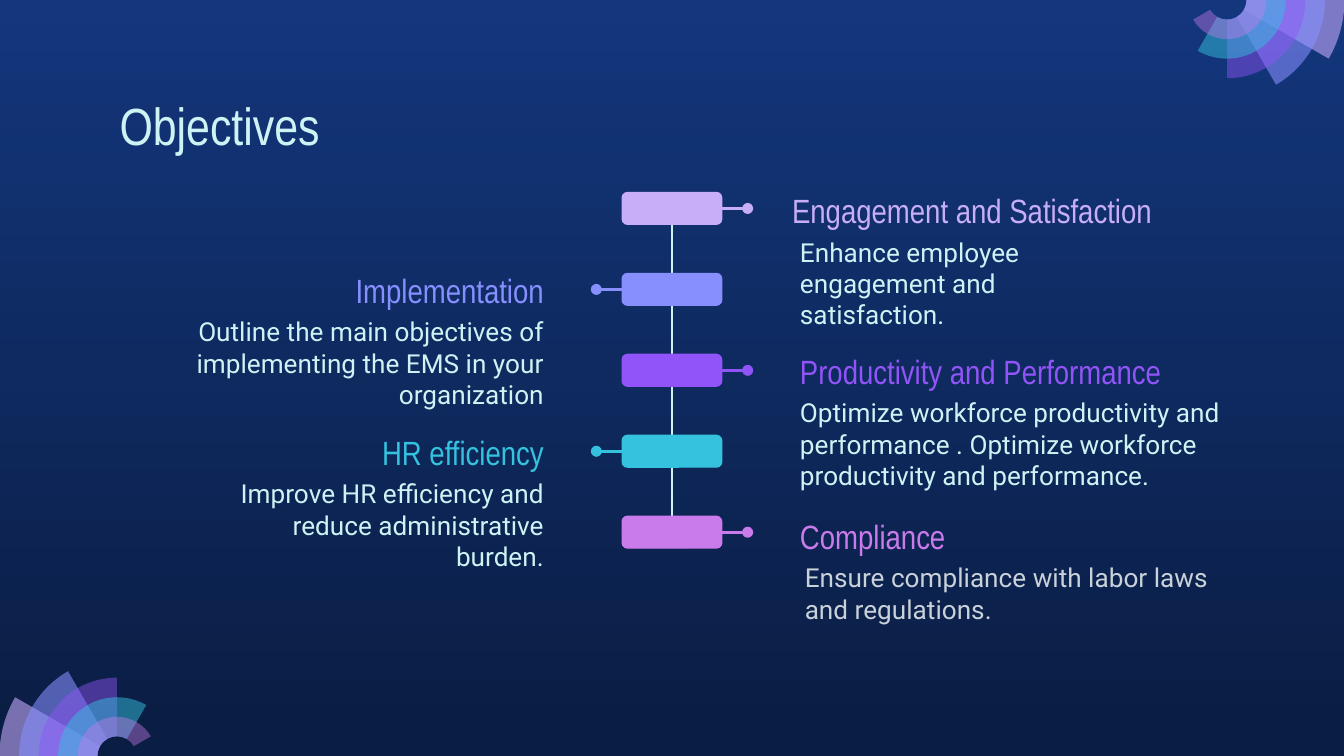
import math
import pptx
import pptx.util
import pptx.dml.color
import pptx.enum.shapes
import pptx.enum.text
import pptx.oxml.ns
from lxml import etree

Cm, Pt = pptx.util.Cm, pptx.util.Pt
ALIGN = pptx.enum.text.PP_ALIGN
ANCHOR = pptx.enum.text.MSO_ANCHOR
qn = pptx.oxml.ns.qn

WIDTH, HEIGHT = 25.4, 14.29
PALE = "CEF3F5"
HEAD_FONT, BODY_FONT = "Arial Narrow", "Roboto"
BAR_W, BAR_H, BAR_TOP, BAR_STEP = 1.88, 0.6, 3.64, 1.53
STEM = 0.49

# Outermost ring first: colour and opacity in percent
FAN_RINGS = [("C8ACFD", 58), ("878FFF", 58), ("9154F8", 46),
             ("35C2DF", 49), ("CA7BEB", 42)]

# Side (1 right, -1 left), colour, heading, its box, body, its box, body colour
OBJECTIVES = [
    (1, "C8AEF8", "Engagement and Satisfaction", (14.72, 3.08, 8.33, 1.52),
     "Enhance employee engagement and satisfaction.",
     (14.87, 4.21, 6.32, 1.52), PALE),
    (-1, "878FFF", "Implementation", (5.15, 5.03, 5.38, 1.09),
     "Outline the main objectives of implementing the EMS in your organization",
     (1.64, 5.72, 8.89, 2.08), PALE),
    (1, "9154F8", "Productivity and Performance", (14.87, 6.56, 9.5, 1.09),
     "Optimize workforce productivity and performance . "
     "Optimize workforce productivity and performance.",
     (14.87, 7.25, 9.96, 1.6), PALE),
    (-1, "35C2DF", "HR efficiency", (5.15, 8.08, 5.38, 1.09),
     "Improve HR efficiency and reduce administrative burden.",
     (4.21, 8.78, 6.32, 1.6), PALE),
    (1, "CA7BEB", "Compliance", (14.87, 9.68, 5.38, 1.09),
     "Ensure compliance with labor laws and regulations.",
     (14.96, 10.37, 8.46, 1.6), "C9D1D9"),
]


def rgb(code):
    """Turn a hex string into a colour."""
    return pptx.dml.color.RGBColor.from_string(code)


def set_background(slide):
    """Fill the slide with a vertical blue gradient."""
    fill = slide.background.fill
    fill.gradient()
    fill.gradient_angle = 270
    for stop, pos, code in zip(fill.gradient_stops, (0, 1), ("13367C", "0A1D42")):
        stop.position = pos
        stop.color.rgb = rgb(code)


def write(sp, text, size, font, color, align=ALIGN.LEFT, anchor=ANCHOR.TOP):
    """Put one formatted paragraph into a shape."""
    tf = sp.text_frame
    tf.word_wrap = True
    tf.auto_size = pptx.enum.text.MSO_AUTO_SIZE.NONE
    tf.vertical_anchor = anchor
    tf.margin_left = tf.margin_right = tf.margin_top = tf.margin_bottom = Cm(0.25)
    p = tf.paragraphs[0]
    p.text = text
    p.alignment = align
    p.font.size = Pt(size)
    p.font.name = font
    p.font.color.rgb = rgb(color)


def add_title(slide, text):
    """Move and format the title placeholder."""
    sp = slide.shapes.title
    sp.left, sp.top, sp.width, sp.height = map(Cm, (2.01, 1.52, 21.41, 1.6))
    write(sp, text, 28, HEAD_FONT, PALE)


def add_text(slide, box, *args):
    """Add a text box; the other arguments go to write()."""
    write(slide.shapes.add_textbox(*map(Cm, box)), *args)


def add_line(slide, x1, y1, x2, y2, color, dot=False):
    """Add a straight line, with a round end if dot is set."""
    c = slide.shapes.add_connector(pptx.enum.shapes.MSO_CONNECTOR.STRAIGHT,
                                   *map(Cm, (x1, y1, x2, y2)))
    c.line.color.rgb = rgb(color)
    c.line.width = Pt(1.5)
    spPr = c._element.spPr
    if dot:
        etree.SubElement(spPr.find(qn("a:ln")), qn("a:tailEnd"), type="oval")
    etree.SubElement(spPr, qn("a:effectLst"))


def add_bar(slide, top, color):
    """Add one rounded bar centred on the slide."""
    sp = slide.shapes.add_shape(
        pptx.enum.shapes.MSO_SHAPE.ROUNDED_RECTANGLE,
        *map(Cm, ((WIDTH - BAR_W) / 2, top, BAR_W, BAR_H)))
    sp.shadow.inherit = False
    sp.fill.solid()
    sp.fill.fore_color.rgb = rgb(color)
    sp.line.color.rgb = rgb(color)
    sp.line.width = Pt(0.75)


def arc_points(cx, cy, radius, stops):
    """Return the Bezier points of an arc through the given angles."""
    def at(r, a):
        return Cm(cx + r * math.cos(a)), Cm(cy - r * math.sin(a))

    angles = [math.radians(stop) for stop in stops]
    points = [at(radius, angles[0])]
    for a, b in zip(angles, angles[1:]):
        k = 4 / 3 * math.tan((b - a) / 4)
        reach, bend = radius * math.hypot(1, k), math.atan(k)
        points += [at(reach, a + bend), at(reach, b - bend), at(radius, b)]
    return points


def bend_lines(sp, starts):
    """Merge three lines into one curve at each start index."""
    lines = list(sp._element.iter(qn("a:lnTo")))
    for start in starts:
        curve = etree.Element(qn("a:cubicBezTo"))
        lines[start].addprevious(curve)
        for line in lines[start:start + 3]:
            curve.append(line[0])
            line.getparent().remove(line)


def add_sector(shapes, cx, cy, inner, outer, stops, color, opacity):
    """Add a translucent ring sector through the given angles."""
    outside = arc_points(cx, cy, outer, stops)
    points = outside + arc_points(cx, cy, inner, stops[::-1])
    fb = shapes.build_freeform(*points[0])
    fb.add_line_segments(points[1:], close=True)
    sp = fb.convert_to_shape()
    arcs = range(0, len(outside) - 1, 3)
    bend_lines(sp, [*arcs, *(len(outside) + i for i in arcs)])
    sp.shadow.inherit = False
    sp.fill.solid()
    sp.fill.fore_color.rgb = rgb(color)
    sp.line.fill.background()
    clr = sp._element.spPr.find(qn("a:solidFill")).find(qn("a:srgbClr"))
    etree.SubElement(clr, qn("a:alpha"), val=str(opacity * 1000))


def add_fan(slide, cx, cy, turn):
    """Add a fan whose rings narrow by one unit and widen by 30 degrees."""
    unit = 0.37
    shapes = slide.shapes.add_group_shape().shapes
    for i, (color, opacity) in enumerate(FAN_RINGS):
        end = 150 - 30 * i
        stops = [180, 90, end] if end < 90 else [180, end]
        add_sector(shapes, cx, cy, unit, unit * (6 - i),
                   [stop + turn for stop in stops], color, opacity)


def add_objective(slide, i, side, color, head, head_box, body, body_box, body_color):
    """Add a bar with its stem, heading and description."""
    top = BAR_TOP + i * BAR_STEP
    align = ALIGN.LEFT if side > 0 else ALIGN.RIGHT
    x, y = WIDTH / 2 + side * BAR_W / 2, top + BAR_H / 2
    add_bar(slide, top, color)
    add_line(slide, x, y, x + side * STEM, y, color, True)
    add_text(slide, head_box, head, 18, HEAD_FONT, color, align, ANCHOR.BOTTOM)
    add_text(slide, body_box, body, 14, BODY_FONT, body_color, align)


def main():
    """Build the slide and save it."""
    prs = pptx.Presentation()
    prs.slide_width, prs.slide_height = Cm(WIDTH), Cm(HEIGHT)
    slide = prs.slides.add_slide(prs.slide_layouts[5])
    set_background(slide)
    add_fan(slide, 2.21, HEIGHT, 0)
    add_fan(slide, WIDTH - 2.21, 0, 180)
    add_title(slide, "Objectives")
    add_line(slide, WIDTH / 2, BAR_TOP, WIDTH / 2, BAR_TOP + 4 * BAR_STEP + BAR_H, PALE)
    for i, objective in enumerate(OBJECTIVES):
        add_objective(slide, i, *objective)
    prs.save("out.pptx")


main()
